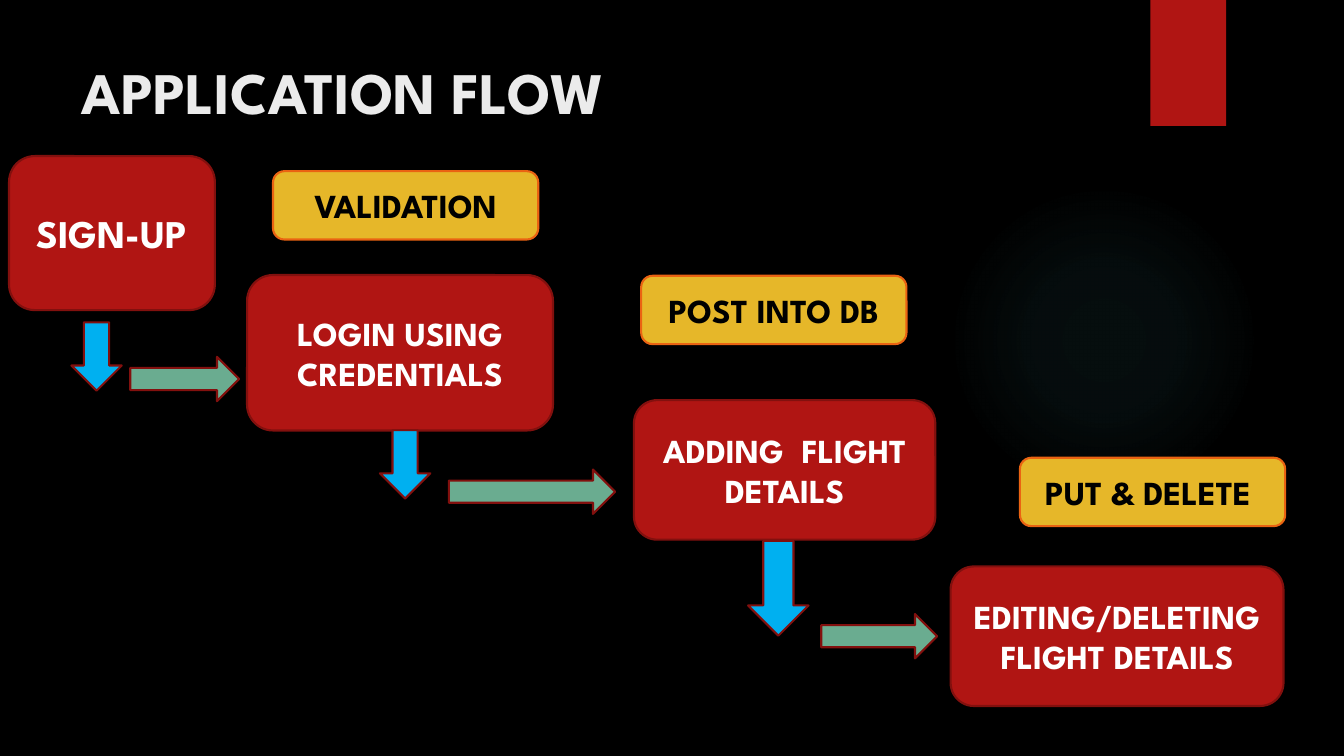
"""Build the application flow slide: four steps joined by arrows, with tags."""
from pptx import Presentation
from pptx.dml.color import RGBColor
from pptx.enum.shapes import MSO_SHAPE
from pptx.enum.text import MSO_ANCHOR, PP_ALIGN
from pptx.oxml import parse_xml
from pptx.oxml.ns import nsdecls
from pptx.util import Pt

COLORS = {
    "back": "000000", "title": "EBEBEB", "red": "B01513", "edge": "82100E",
    "gold": "E6B729", "rim": "EA6312", "blue": "00B0F0", "green": "6AAC90",
    "white": "FFFFFF", "black": "000000", "glow": "50B9C1",
}
FACE = "League Spartan"
TITLE = "APPLICATION FLOW "
STEPS = [
    ("SIGN-UP", 28, (6.5, 111.5, 147, 110)),
    ("LOGIN USING CREDENTIALS", 24, (176.5, 196.5, 218.5, 111)),
    ("ADDING  FLIGHT DETAILS", 24, (452.8, 285.8, 215.3, 99.7)),
    ("EDITING/DELETING FLIGHT DETAILS", 24, (679, 404.6, 237.8, 99.7)),
]
TAGS = [
    ("VALIDATION", 195, 122.3),
    ("POST INTO DB", 458, 197),
    ("PUT & DELETE ", 728.5, 327),
]
TAG_SIZE = (189.5, 48.8)
DOWNS = [(51, 230.3, 36, 48.8), (271.4, 307.3, 36, 48.8), (534.4, 386.4, 43.2, 67.7)]
RIGHTS = [(93, 254.9, 77.8), (320.6, 335.4, 118.8), (586.6, 438.6, 82.8)]
RIGHT_H = 31.7
GLOW = (677.5, 131.8, 221.8, 221.8)
STOPS = [(0, 7), (36, 6), (69, 0)]


def rgb(name):
    return RGBColor.from_string(COLORS[name])


def style(run, size, color):
    look = {"name": FACE, "size": Pt(size), "bold": True}
    for key, val in look.items():
        setattr(run.font, key, val)
    run.font.color.rgb = rgb(color)


def draw(slide, kind, box, fill, line=None):
    shape = slide.shapes.add_shape(kind, *map(Pt, box))
    shape.shadow.inherit = False
    shape.fill.solid()
    shape.fill.fore_color.rgb = rgb(fill)
    if line:
        shape.line.color.rgb = rgb(line)
        shape.line.width = Pt(1.5)
    else:
        shape.line.fill.background()
    return shape


def label(shape, text, size, color):
    frame = shape.text_frame
    frame.word_wrap = True
    frame.vertical_anchor = MSO_ANCHOR.MIDDLE
    para = frame.paragraphs[0]
    para.alignment = PP_ALIGN.CENTER
    run = para.add_run()
    run.text = text
    style(run, size, color)


def shine(shape):
    stops = "".join(
        f'<a:gs pos="{pos * 1000}"><a:srgbClr val="{COLORS["glow"]}">'
        f'<a:alpha val="{alpha * 1000}"/></a:srgbClr></a:gs>'
        for pos, alpha in STOPS
    )
    grad = parse_xml(
        f'<a:gradFill {nsdecls("a")} rotWithShape="1"><a:gsLst>{stops}</a:gsLst>'
        '<a:path path="circle"><a:fillToRect l="50000" t="50000" r="50000" b="50000"/>'
        '</a:path></a:gradFill>'
    )
    props = shape.element.spPr
    props.replace(props.find("{*}solidFill"), grad)


def main():
    deck = Presentation()
    deck.slide_width, deck.slide_height = Pt(960), Pt(540)
    slide = deck.slides.add_slide(deck.slide_layouts[5])
    slide.background.fill.solid()
    slide.background.fill.fore_color.rgb = rgb("back")

    shine(draw(slide, MSO_SHAPE.OVAL, GLOW, "glow"))
    draw(slide, MSO_SHAPE.RECTANGLE, (821.8, 0, 54, 90), "red")

    title = slide.shapes.title
    place = {"left": 51, "top": 36, "width": 741, "height": 110}
    for key, val in place.items():
        setattr(title, key, Pt(val))
    title.text_frame.vertical_anchor = MSO_ANCHOR.TOP
    para = title.text_frame.paragraphs[0]
    para.alignment = PP_ALIGN.LEFT
    run = para.add_run()
    run.text = TITLE
    style(run, 42, "title")

    for text, size, box in STEPS:
        step = draw(slide, MSO_SHAPE.ROUNDED_RECTANGLE, box, "red", "edge")
        label(step, text, size, "white")
    for text, left, top in TAGS:
        tag = draw(slide, MSO_SHAPE.ROUNDED_RECTANGLE, (left, top, *TAG_SIZE), "gold", "rim")
        label(tag, text, 24, "black")
    for box in DOWNS:
        draw(slide, MSO_SHAPE.DOWN_ARROW, box, "blue", "edge")
    for box in RIGHTS:
        draw(slide, MSO_SHAPE.RIGHT_ARROW, (*box, RIGHT_H), "green", "edge")

    deck.save("out.pptx")


if __name__ == "__main__":
    main()
